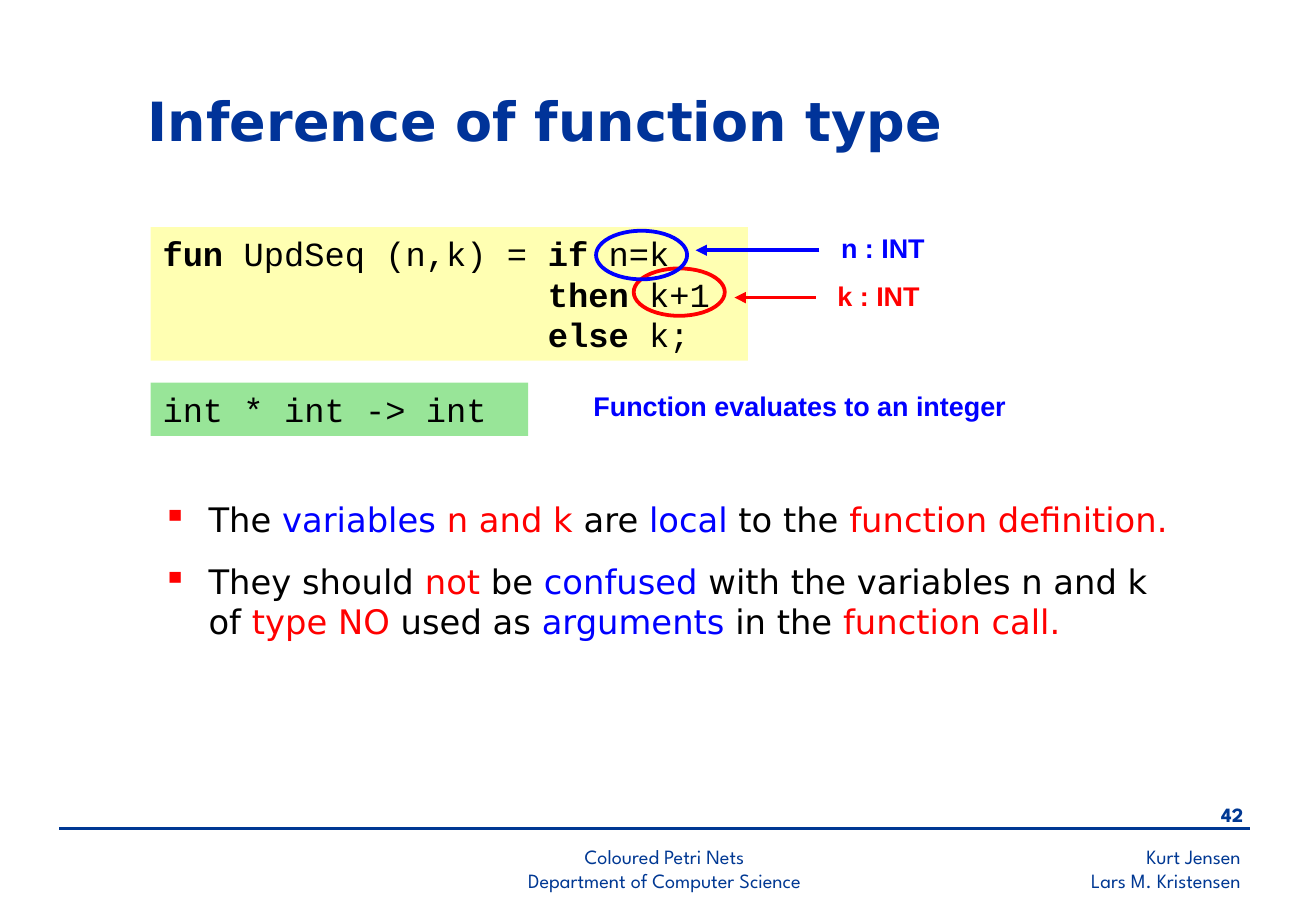
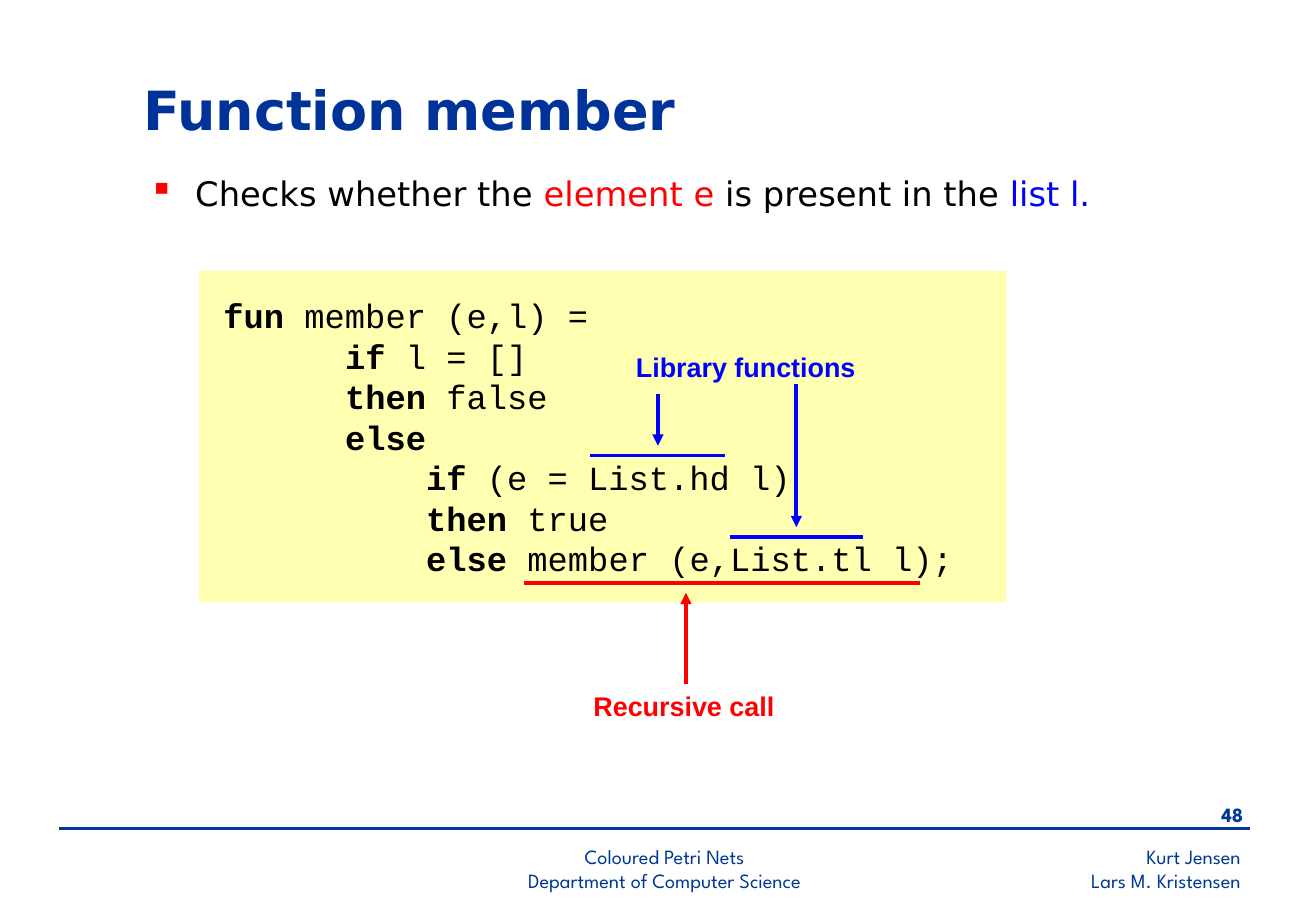
import pptx
import pptx.util
import pptx.dml.color
import pptx.enum.shapes
import pptx.enum.text
import pptx.oxml
import pptx.oxml.ns

Inches, Pt = pptx.util.Inches, pptx.util.Pt
Form = pptx.enum.shapes.MSO_SHAPE
Line = pptx.enum.shapes.MSO_CONNECTOR.STRAIGHT
Align = pptx.enum.text.PP_ALIGN
Anchor = pptx.enum.text.MSO_ANCHOR
qn = pptx.oxml.ns.qn

NAVY, INK = "003893", "003399"
RED, BLUE, BLACK = "FF0000", "0000FF", "000000"
YELLOW, GREEN = "FFFF66", "33CC33"


def hue(code):
    return pptx.dml.color.RGBColor.from_string(code)


def write(shape, paras, font, size, align=Align.LEFT, pad=(0.1, 0.05),
          gap=0, mark=False, anchor=Anchor.TOP):
    """Fill a shape with paragraphs, each a list of (text, colour, bold)."""
    frame = shape.text_frame
    frame.word_wrap = True
    frame.vertical_anchor = anchor
    frame.margin_left = frame.margin_right = Inches(pad[0])
    frame.margin_top = frame.margin_bottom = Inches(pad[1])
    for i, runs in enumerate(paras):
        para = frame.add_paragraph() if i else frame.paragraphs[0]
        para.alignment = align
        if i and gap:
            para.space_before = Pt(gap)
        if mark:
            props = para._p.get_or_add_pPr()
            props.set("marL", str(Inches(0.38)))
            props.set("indent", str(-Inches(0.38)))
            tint = pptx.oxml.parse_xml(
                f'<a:buClr {pptx.oxml.ns.nsdecls("a")}><a:srgbClr val="{RED}"/></a:buClr>')
            props.append(tint)
            props.makeelement(qn("a:buChar"))
            bullet = props.makeelement(qn("a:buChar"), {"char": "▪"})
            props.append(bullet)
        for text, tone, bold in runs:
            run = para.add_run()
            run.text = text
            run.font.name = font
            run.font.size = Pt(size)
            run.font.bold = bold
            run.font.color.rgb = hue(tone)


# Content: code rows are (indent, keyword, rest, keyword, rest ...)
pages = [
    dict(
        number="42", title="Inference of function type", place=(1.12, 0.64, 7.13, 0.69),
        codes=[
            ((1.24, 1.87, 4.92, 1.1), YELLOW, (0.1, 0.05), [
                ("", "fun", " UpdSeq (n,k) = ", "if", " n=k"),
                (" " * 19, "then", " k+1"),
                (" " * 19, "else", " k;")]),
            ((1.24, 3.15, 3.11, 0.44), GREEN, (0.1, 0.05), [("int * int -> int",)])],
        body=(1.24, 4.06, 8.62, 1.38),
        points=[
            [("The ", BLACK), ("variables", BLUE), (" n and k", RED), (" are ", BLACK),
             ("local", BLUE), (" to the ", BLACK), ("function definition.", RED)],
            [("They should ", BLACK), ("not", RED), (" be ", BLACK), ("confused", BLUE),
             (" with the variables n and k of ", BLACK), ("type NO", RED),
             (" used as ", BLACK), ("arguments", BLUE), (" in the ", BLACK),
             ("function call.", RED)]],
        rings=[((5.22, 2.21, 0.75, 0.39), RED), ((4.91, 1.9, 0.75, 0.4), BLUE)],
        labels=[
            ("k : INT", RED, (6.8, 2.25, 0.95, 0.37)),
            ("n : INT", BLUE, (6.83, 1.86, 0.95, 0.37)),
            ("Function evaluates to an integer", BLUE, (4.79, 3.16, 4.29, 0.37))],
        lines=[
            ((6.72, 2.45, 6.05, 2.45), RED, True),
            ((6.75, 2.06, 5.73, 2.06), BLUE, True)]),
    dict(
        number="48", title="Function member", place=(1.08, 0.55, 8.64, 0.69),
        codes=[
            ((1.64, 2.23, 6.65, 2.73), YELLOW, (0.2, 0.2), [
                ("", "fun", " member (e,l) ="),
                (" " * 6, "if", " l = []"),
                (" " * 6, "then", " false"),
                (" " * 6, "else"),
                (" " * 10, "if", " (e = List.hd l)"),
                (" " * 10, "then", " true"),
                (" " * 10, "else", " member (e,List.tl l);")])],
        body=(1.13, 1.37, 8.03, 0.55),
        points=[
            [("Checks whether the ", BLACK), ("element e", RED),
             (" is present in the ", BLACK), ("list l.", BLUE)]],
        rings=[],
        labels=[
            ("Recursive call", RED, (4.79, 5.63, 2.17, 0.37)),
            ("Library functions", BLUE, (5.14, 2.84, 2.17, 0.37))],
        lines=[
            ((5.65, 5.63, 5.65, 4.88), RED, True),
            ((4.32, 4.8, 7.58, 4.8), RED, False),
            ((5.42, 3.24, 5.42, 3.67), BLUE, True),
            ((4.86, 3.75, 5.97, 3.75), BLUE, False),
            ((6.56, 3.16, 6.56, 4.34), BLUE, True),
            ((6.01, 4.42, 7.11, 4.42), BLUE, False)]),
]

deck = pptx.Presentation()
deck.slide_width, deck.slide_height = Inches(10.84), Inches(7.5)

for page in pages:
    shapes = deck.slides.add_slide(deck.slide_layouts[6]).shapes

    # Footer texts
    for rows, box, align, bold in [
        (["Kurt Jensen", "Lars M. Kristensen"], (6.95, 6.9, 3.37, 0.5), Align.RIGHT, False),
        ([page["number"]], (9.63, 6.56, 0.71, 0.33), Align.RIGHT, True),
        (["Coloured Petri Nets", "Department of Computer Science"],
         (3.41, 6.9, 4.13, 0.47), Align.CENTER, False),
    ]:
        write(shapes.add_textbox(*map(Inches, box)),
              [[(row, NAVY, bold)] for row in rows], "League Spartan", 12, align)

    # Title
    write(shapes.add_textbox(*map(Inches, page["place"])),
          [[(page["title"], INK, True)]], "DejaVu Sans", 32, anchor=Anchor.MIDDLE)

    # Code panels
    for box, tone, pad, rows in page["codes"]:
        panel = shapes.add_shape(Form.RECTANGLE, *map(Inches, box))
        panel.shadow.inherit = False
        panel.fill.solid()
        panel.fill.fore_color.rgb = hue(tone)
        paint = panel.element.spPr.find(qn("a:solidFill"))[0]
        paint.append(paint.makeelement(qn("a:alpha"), {"val": "50000"}))
        panel.line.fill.background()
        paras = [[(text, BLACK, i % 2 == 1) for i, text in enumerate(row) if text]
                 for row in rows]
        write(panel, paras, "Courier New", 20, pad=pad)

    # Bullet points
    paras = [[(text, tone, False) for text, tone in point] for point in page["points"]]
    write(shapes.add_textbox(*map(Inches, page["body"])), paras,
          "DejaVu Sans", 20, gap=12.5, mark=True)

    # Rings around code
    for box, tone in page["rings"]:
        ring = shapes.add_shape(Form.OVAL, *map(Inches, box))
        ring.shadow.inherit = False
        ring.fill.background()
        ring.line.color.rgb = hue(tone)
        ring.line.width = Pt(2.25)

    # Labels
    for text, tone, box in page["labels"]:
        write(shapes.add_textbox(*map(Inches, box)), [[(text, tone, True)]], "Arial", 16)

    # Footer rule, arrows and underlines
    rule = ((0.49, 6.82, 10.3, 6.82), NAVY, False)
    for ends, tone, arrow in [rule] + page["lines"]:
        line = shapes.add_connector(Line, *map(Inches, ends))
        line.line.color.rgb = hue(tone)
        line.line.width = Pt(1.5 if tone == NAVY else 2.25)
        props = line.element.spPr
        if arrow:
            stroke = props.find(qn("a:ln"))
            stroke.append(stroke.makeelement(qn("a:tailEnd"), {"type": "triangle"}))
        props.append(props.makeelement(qn("a:effectLst")))

deck.save("out.pptx")
